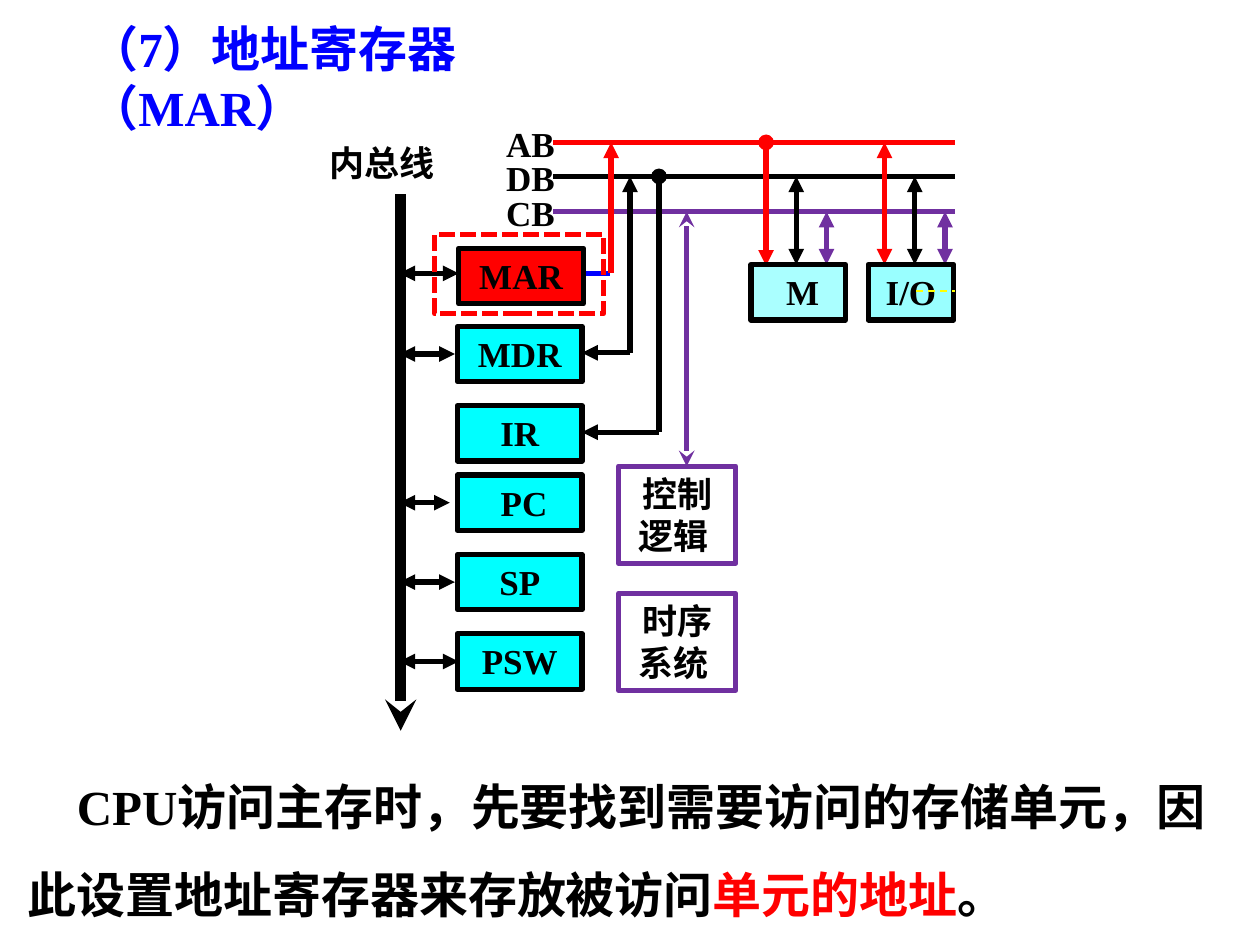
from dataclasses import dataclass

from lxml.etree import SubElement
from pptx import Presentation
from pptx.dml.color import RGBColor
from pptx.enum.dml import MSO_LINE as Dash
from pptx.enum.shapes import MSO_CONNECTOR as Connector, MSO_SHAPE as Preset
from pptx.enum.text import MSO_ANCHOR as Anchor, MSO_AUTO_SIZE as AutoSize, PP_ALIGN as Align
from pptx.oxml.ns import qn
from pptx.util import Inches, Pt

COLORS = {
    "black": "000000",
    "blue": "0000FF",
    "red": "FF0000",
    "purple": "7030A0",
    "yellow": "FFFF00",
    "cyan": "00FFFF",
    "memory": "AAFFFF",
    "device": "99FFFF",
}
FONT = "Times New Roman"
BUS_X, REGISTER_X, REGISTER_WIDTH, BOX_HEIGHT = 3.17, 3.63, 0.99, 0.44
REGISTER_RIGHT = REGISTER_X + REGISTER_WIDTH
ADDRESS_Y, DATA_Y, CONTROL_Y, UNIT_Y = 1.13, 1.4, 1.68, 2.1


@dataclass
class Wire:
    start: tuple[float, float]
    end: tuple[float, float]
    color: str = "black"
    head: str = ""
    tail: str = ""
    width: float = 3
    dash: Dash | None = None


@dataclass
class Box:
    text: str
    left: float
    top: float
    width: float
    height: float = BOX_HEIGHT
    fill: str = ""
    line: str = "black"
    dash: Dash | None = None


def color(name: str) -> RGBColor:
    return RGBColor.from_string(COLORS[name])


def add_text(paragraph, text: str, *, size: float = 20, color_name: str = "black") -> None:
    run = paragraph.add_run()
    run.text = text
    run.font.name = FONT
    run.font.size = Pt(size)
    run.font.bold = True
    run.font.color.rgb = color(color_name)


def draw_wire(slide, wire: Wire) -> None:
    points = [Inches(value) for value in (*wire.start, *wire.end)]
    connector = slide.shapes.add_connector(Connector.STRAIGHT, *points)
    connector.line.color.rgb = color(wire.color)
    connector.line.width = Pt(wire.width)
    if wire.dash:
        connector.line.dash_style = wire.dash
    properties = connector._element.spPr
    for tag, kind in (("a:headEnd", wire.head), ("a:tailEnd", wire.tail)):
        if kind:
            SubElement(properties.find(qn("a:ln")), qn(tag), type=kind)
    SubElement(properties, qn("a:effectLst"))


def draw_box(slide, box: Box) -> None:
    bounds = [Inches(value) for value in (box.left, box.top, box.width, box.height)]
    shape = slide.shapes.add_shape(Preset.RECTANGLE, *bounds)
    shape.shadow.inherit = False
    if box.fill:
        shape.fill.solid()
        shape.fill.fore_color.rgb = color(box.fill)
    else:
        shape.fill.background()
    shape.line.color.rgb = color(box.line)
    shape.line.width = Pt(3)
    if box.dash:
        shape.line.dash_style = box.dash
    if box.text:
        frame = shape.text_frame
        frame.word_wrap = True
        frame.vertical_anchor = Anchor.TOP
        frame.paragraphs[0].alignment = Align.CENTER
        add_text(frame.paragraphs[0], box.text)


def draw_label(slide, text: str, left: float, top: float, width: float) -> None:
    label = slide.shapes.add_textbox(Inches(left), Inches(top), Inches(width), Inches(BOX_HEIGHT))
    label.text_frame.word_wrap = True
    paragraph = label.text_frame.paragraphs[0]
    paragraph.alignment = Align.CENTER
    add_text(paragraph, text)


def prepare_placeholder(shape, left: float, top: float, width: float, height: float):
    shape.left, shape.top = Inches(left), Inches(top)
    shape.width, shape.height = Inches(width), Inches(height)
    frame = shape.text_frame
    frame.word_wrap = True
    frame.auto_size = AutoSize.NONE
    frame.vertical_anchor = Anchor.TOP
    paragraph = frame.paragraphs[0]
    paragraph.alignment = Align.LEFT
    paragraph.space_before = Pt(0)
    return paragraph


def both(start: tuple[float, float], end: tuple[float, float],
         color_name: str = "black", kind: str = "triangle") -> Wire:
    return Wire(start, end, color_name, kind, kind)


def draw_diagram(slide) -> None:
    register_tops = {"MDR": 2.59, "IR": 3.22, " PC": 3.77, "SP": 4.4, "PSW": 5.03}
    registers = [Box(name, REGISTER_X, top, REGISTER_WIDTH, fill="cyan")
                 for name, top in register_tops.items()]
    bus_links = [both((x, y), (BUS_X, y)) for x, y in
                 ((3.64, 2.17), (3.61, 2.81), (3.57, 3.99), (3.61, 4.62), (3.64, 5.25))]
    system_buses = [Wire((4.39, y), (7.58, y), name) for y, name in
                    ((CONTROL_Y, "purple"), (DATA_Y, "black"), (ADDRESS_Y, "red"))]
    unit_links = [both((x, y), (x, UNIT_Y), name) for x, y, name in (
        (6.32, DATA_Y, "black"), (7.26, DATA_Y, "black"),
        (6.56, CONTROL_Y, "purple"), (7.5, CONTROL_Y, "purple"),
        (7.02, ADDRESS_Y, "red"))]
    wires = [
        Wire((3.18, 1.54), (3.18, 5.8), tail="stealth", width=6),
        *bus_links,
        *system_buses,
        *unit_links,
        Wire((6.08, ADDRESS_Y), (6.08, 2.11), "red", "oval", "triangle"),
        Wire((REGISTER_RIGHT, 2.17), (4.84, 2.17), "blue"),
        Wire((4.85, 2.17), (4.85, ADDRESS_Y), "red", tail="triangle"),
        Wire((5, 2.8), (REGISTER_RIGHT, 2.8), tail="triangle"),
        Wire((5, 2.8), (5, DATA_Y), tail="triangle"),
        Wire((5.23, DATA_Y), (5.23, 3.43), head="oval"),
        Wire((5.23, 3.43), (REGISTER_RIGHT, 3.43), tail="triangle"),
        both((5.45, CONTROL_Y), (5.45, 3.7), "purple", "stealth"),
    ]
    boxes = [
        Box(" M", 5.96, UNIT_Y, 0.75, fill="memory"),
        Box("I/O", 6.89, UNIT_Y, 0.68, fill="device"),
        *registers,
        Box("控制逻辑 ", 4.91, 3.7, 0.93, 0.77, line="purple"),
        Box("时序系统 ", 4.91, 4.71, 0.93, 0.77, line="purple"),
        Box("", 3.45, 1.86, 1.34, 0.63, line="red", dash=Dash.SQUARE_DOT),
        Box("MAR", 3.64, 1.97, REGISTER_WIDTH, fill="red"),
    ]
    for wire in wires:
        draw_wire(slide, wire)
    for box in boxes:
        draw_box(slide, box)
    draw_wire(slide, Wire((7.27, 2.31), (7.58, 2.31), "yellow", width=1, dash=Dash.DASH))
    draw_label(slide, "内总线", 2.24, 1.07, 1.59)
    for text, top in (("AB", 0.92), ("DB", 1.19), ("CB", 1.47)):
        draw_label(slide, text, 3.79, top, 0.84)


def main() -> None:
    presentation = Presentation()
    presentation.slide_width, presentation.slide_height = Inches(10), Inches(7.5)
    slide = presentation.slides.add_slide(presentation.slide_layouts[1])

    title = prepare_placeholder(slide.shapes.title, 0.61, 0.1, 5.18, 1)
    add_text(title, "（7）地址寄存器", size=28, color_name="blue")
    title.add_line_break()
    add_text(title, "（MAR）", size=28, color_name="blue")

    body = prepare_placeholder(slide.placeholders[1], 0.12, 5.88, 9.8, 1.51)
    body.line_spacing = 1.5
    properties = body._p.get_or_add_pPr()
    properties.set("marL", "0")
    properties.set("indent", str(Inches(0.39)))
    SubElement(properties, qn("a:buNone"))
    add_text(body, "CPU访问主存时，先要找到需要访问的存储单元，因此设置地址寄存器来存放被访问", size=28)
    add_text(body, "单元的地址", size=28, color_name="red")
    add_text(body, "。", size=28)

    draw_diagram(slide)
    presentation.save("out.pptx")


if __name__ == "__main__":
    main()
